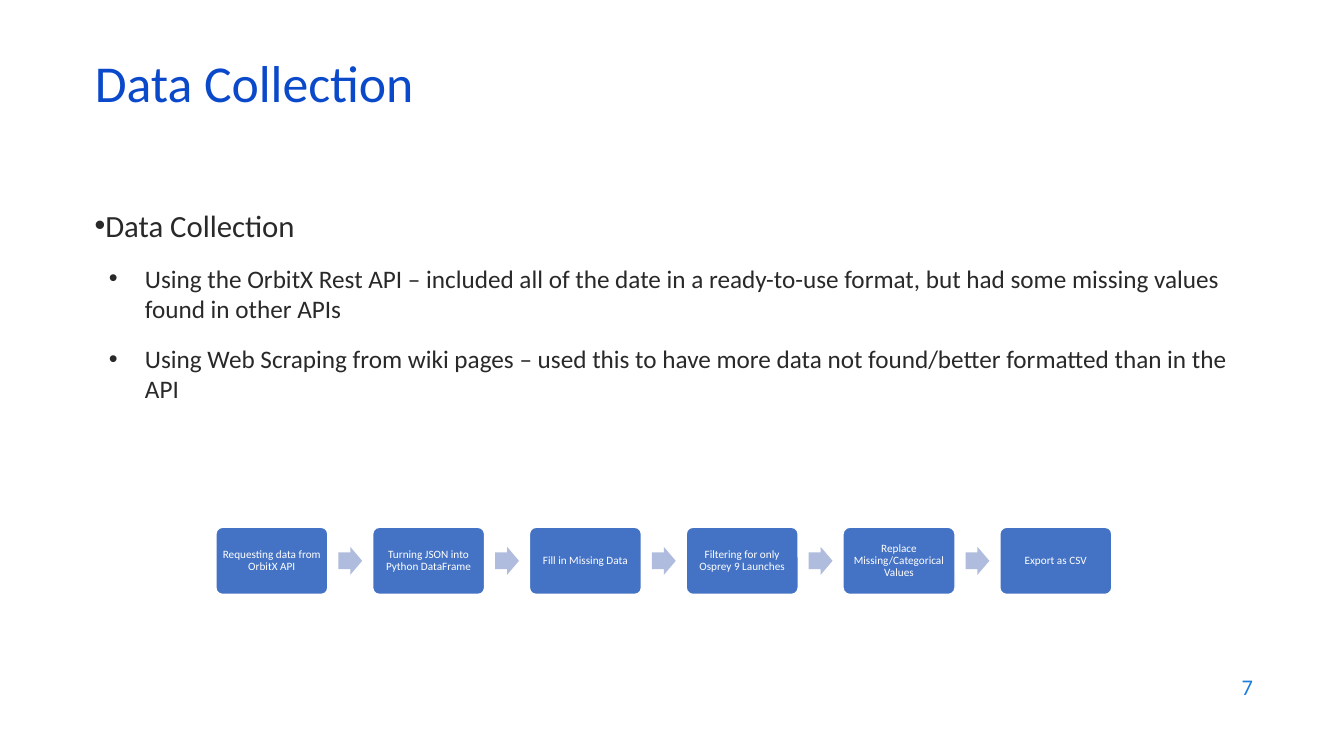
from lxml.etree import SubElement
from pptx import Presentation
from pptx.dml.color import RGBColor
from pptx.enum.shapes import MSO_SHAPE
from pptx.enum.text import MSO_ANCHOR, PP_ALIGN
from pptx.oxml.ns import qn
from pptx.util import Pt

FONT = "Calibri"
COLORS = {
    "title": "0B49CB",
    "body": "292929",
    "number": "1C7DDB",
    "step": "4472C4",
    "arrow": "B0BCDE",
    "white": "FFFFFF",
}
POINTS = [
    (0, "Data Collection"),
    (1, "Using the OrbitX Rest API – included all of the date in a ready-to-use "
        "format, but had some missing values found in other APIs"),
    (1, "Using Web Scraping from wiki pages – used this to have more data not "
        "found/better formatted than in the API"),
]
# Size, left margin and first-line indent of each level
LEVELS = [(22, 0, 0), (18, 36, -25.7)]
STEPS = [
    "Requesting data from OrbitX API",
    "Turning JSON into Python DataFrame",
    "Fill in Missing Data",
    "Filtering for only Osprey 9 Launches",
    "Replace Missing/Categorical Values",
    "Export as CSV",
]


def color(name):
    return RGBColor.from_string(COLORS[name])


def write(para, text, size, name):
    run = para.add_run()
    run.text = text
    run.font.name = FONT
    run.font.size = Pt(size)
    run.font.color.rgb = color(name)


def place(shape, box):
    shape.left, shape.top, shape.width, shape.height = map(Pt, box)


def add_title(slide, box):
    title = slide.shapes.title
    place(title, box)
    frame = title.text_frame
    frame.vertical_anchor = MSO_ANCHOR.MIDDLE
    para = frame.paragraphs[0]
    para.alignment = PP_ALIGN.LEFT
    para.line_spacing = 0.7
    write(para, "Data Collection", 37, "title")


def add_points(slide, box):
    frame = slide.shapes.add_textbox(*map(Pt, box)).text_frame
    frame.word_wrap = True
    for i, (level, text) in enumerate(POINTS):
        para = frame.add_paragraph() if i else frame.paragraphs[0]
        size, margin, indent = LEVELS[level]
        para.level = level
        if i:
            para.space_before = Pt(14)
        props = para._p.get_or_add_pPr()
        props.set("marL", str(Pt(margin)))
        props.set("indent", str(Pt(indent)))
        SubElement(props, qn("a:buFont")).set("typeface", "Arial")
        SubElement(props, qn("a:buChar")).set("char", "•")
        write(para, text, size, "body")


def add_shape(slide, kind, box, fill):
    shape = slide.shapes.add_shape(kind, *map(Pt, box))
    shape.shadow.inherit = False
    shape.fill.solid()
    shape.fill.fore_color.rgb = color(fill)
    shape.line.fill.background()
    return shape


def add_step(slide, box, text):
    step = add_shape(slide, MSO_SHAPE.ROUNDED_RECTANGLE, box, "step")
    step.adjustments[0] = 0.1
    step.line.color.rgb = color("white")
    step.line.width = Pt(1)
    frame = step.text_frame
    frame.word_wrap = True
    frame.vertical_anchor = MSO_ANCHOR.MIDDLE
    frame.margin_left = frame.margin_right = Pt(3)
    frame.margin_top = frame.margin_bottom = Pt(3)
    para = frame.paragraphs[0]
    para.alignment = PP_ALIGN.CENTER
    para.line_spacing = 0.9
    write(para, text, 8, "white")


def add_flow(slide, box):
    """Spread the steps over the box, with an arrow in each gap."""
    left, top, width, height = box
    wide = 80
    pitch = (width - wide) / (len(STEPS) - 1)
    arrow_w, arrow_h = 17, 20
    for i, text in enumerate(STEPS):
        x = left + i * pitch
        add_step(slide, (x, top, wide, height), text)
        if i < len(STEPS) - 1:
            spot = (x + (wide + pitch - arrow_w) / 2,
                    top + (height - arrow_h) / 2, arrow_w, arrow_h)
            arrow = add_shape(slide, MSO_SHAPE.RIGHT_ARROW, spot, "arrow")
            arrow.adjustments[0] = 0.6


def add_number(slide, box):
    frame = slide.shapes.add_textbox(*map(Pt, box)).text_frame
    frame.word_wrap = True
    frame.vertical_anchor = MSO_ANCHOR.MIDDLE
    para = frame.paragraphs[0]
    para.alignment = PP_ALIGN.RIGHT
    write(para, "7", 16, "number")


def main():
    deck = Presentation()
    deck.slide_width, deck.slide_height = Pt(960), Pt(540)
    slide = deck.slides.add_slide(deck.slide_layouts[5])
    add_title(slide, (60.5, 42.5, 828, 43))
    add_points(slide, (60.5, 144, 828, 200))
    add_flow(slide, (154.2, 376.6, 640, 48))
    add_number(slide, (686, 474.5, 216, 32))
    deck.save("out.pptx")


if __name__ == "__main__":
    main()
